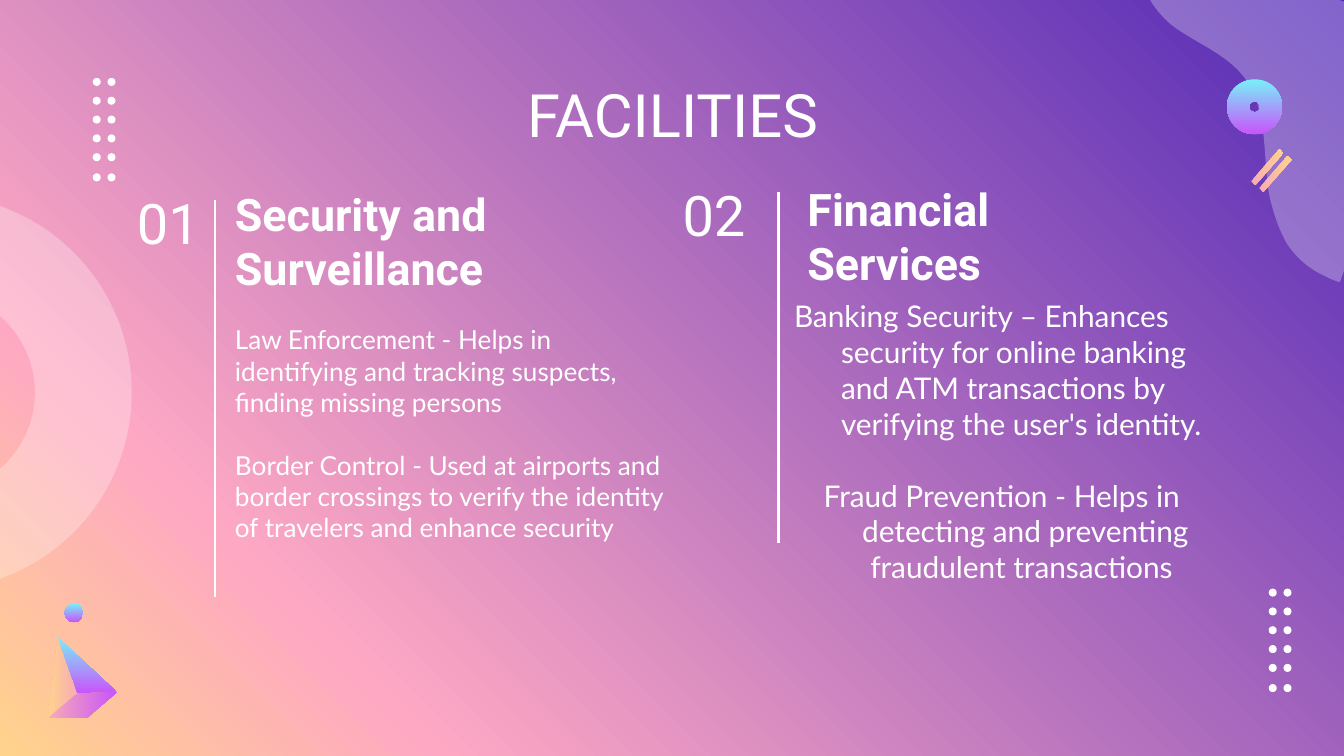
from dataclasses import dataclass
from typing import NamedTuple

from lxml.etree import SubElement
from pptx import Presentation
from pptx.dml.color import RGBColor
from pptx.dml.fill import FillFormat
from pptx.enum.shapes import MSO_CONNECTOR as Link, MSO_SHAPE as Preset
from pptx.enum.text import MSO_ANCHOR as Anchor, PP_ALIGN as Align
from pptx.oxml.ns import qn
from pptx.util import Emu, Pt

SCALE = 9144
FINENESS = 100
Point = tuple[int, int]


class Stop(NamedTuple):
    percent: int
    color: str


class Gradient(NamedTuple):
    stops: tuple[Stop, ...]
    angle: int


def blend(start: str, end: str, angle: int) -> Gradient:
    return Gradient((Stop(0, start), Stop(100, end)), angle)


@dataclass(frozen=True)
class Theme:
    white: str = "FFFFFF"
    veil: int = 28
    backdrop: Gradient = Gradient(
        (Stop(0, "5229B7"), Stop(79, "FEA8C3"), Stop(100, "FFD38B")), 135)
    neon: Gradient = blend("78F0F9", "C954FA", 90)
    peach: Gradient = blend("F7ABB7", "FFD38B", 0)
    apricot: Gradient = blend("F7ABB7", "FFD38B", 180)
    orchid: Gradient = blend("F7ABB7", "C954FA", 0)
    heading_font: str = "Roboto"
    body_font: str = "Lato"
    title_size: int = 32
    number_size: int = 30
    heading_size: int = 24
    rule_width: float = 1.5
    line_height: float = 1.2


class Box(NamedTuple):
    left: int
    top: int
    width: int
    height: int


class Paragraph(NamedTuple):
    text: str
    align: Align = Align.LEFT


class Facility(NamedTuple):
    number: str
    number_box: Box
    heading: str
    heading_box: Box
    body: tuple[Paragraph, ...]
    body_box: Box
    body_size: int
    margin: int
    indent: int


class Rule(NamedTuple):
    x: int
    top: int
    bottom: int


class Facet(NamedTuple):
    points: tuple[Point, ...]
    gradient: Gradient


THEME = Theme()

FACILITIES = (
    Facility("01", Box(92, 136, 89, 58),
             "Security and Surveillance", Box(165, 149, 284, 60),
             (Paragraph("Law Enforcement - Helps in identifying and tracking suspects, "
                        "finding missing persons"),
              Paragraph("Border Control - Used at airports and border crossings to verify "
                        "the identity of travelers and enhance security")),
             Box(165, 296, 343, 53), 14, 0, 0),
    Facility("02", Box(498, 130, 89, 58),
             "Financial Services", Box(591, 145, 286, 61),
             (Paragraph("Banking Security – Enhances security for online banking and ATM "
                        "transactions by verifying the user's identity."),
              Paragraph("Fraud Prevention - Helps in detecting and preventing fraudulent "
                        "transactions ", Align.CENTER)),
             Box(566, 302, 344, 53), 16, 50, -35),
)
RULES = (Rule(160, 149, 444), Rule(579, 143, 404))
DOT_GRIDS = ((944, 438), (69, 58))
PRISM = (
    Facet(((36, 534), (58, 516), (43, 474)), THEME.apricot),
    Facet(((43, 474), (58, 516), (87, 515)), THEME.neon),
    Facet(((87, 515), (58, 516), (36, 534), (65, 534)), THEME.orchid),
)
STRIPES = tuple(
    Facet(((x, y + 24), (x + 21, y), (x + 24, y + 3), (x + 3, y + 27)), THEME.peach)
    for x, y in ((931, 111), (937, 116)))
WAVE = ((846, -52),
        (841, -27), (851, 1), (871, 18), (890, 33), (915, 40), (929, 62),
        (943, 86), (940, 116), (944, 143), (947, 157), (951, 170), (958, 182),
        (965, 192), (974, 200), (985, 205), (989, 207), (993, 209), (997, 210))
WAVE_CORNER = (1063, 23)


def px(length: int) -> Emu:
    return Emu(length * SCALE)


def fill_solid(shape, color: str, alpha: int = 100) -> None:
    shape.shadow.inherit = False
    shape.line.fill.background()
    shape.fill.solid()
    shape.fill.fore_color.rgb = RGBColor.from_string(color)
    if alpha < 100:
        tint = shape.element.find(".//" + qn("a:srgbClr"))
        SubElement(tint, qn("a:alpha"), val=str(alpha * 1000))


def set_gradient(fill: FillFormat, element, gradient: Gradient) -> None:
    fill.gradient()
    fill.gradient_angle = (360 - gradient.angle) % 360
    stop_list = element.find(".//" + qn("a:gsLst"))
    stop_list.clear()
    for stop in gradient.stops:
        entry = SubElement(stop_list, qn("a:gs"), pos=str(stop.percent * 1000))
        SubElement(entry, qn("a:srgbClr"), val=stop.color)


def fill_gradient(shape, gradient: Gradient) -> None:
    shape.shadow.inherit = False
    shape.line.fill.background()
    set_gradient(shape.fill, shape.element, gradient)


def add_preset(shapes, preset: Preset, box: Box):
    return shapes.add_shape(preset, *map(px, box))


def add_outline(shapes, points):
    start, *others = [(x * FINENESS, y * FINENESS) for x, y in points]
    builder = shapes.build_freeform(*start, scale=SCALE / FINENESS)
    builder.add_line_segments(others, close=True)
    return builder.convert_to_shape()


def add_facets(shapes, facets: tuple[Facet, ...]) -> None:
    for facet in facets:
        fill_gradient(add_outline(shapes, facet.points), facet.gradient)


def trace_curve(knots: tuple[Point, ...], steps: int = 12) -> list[tuple[float, float]]:
    traced = [knots[0]]
    for first in range(0, len(knots) - 1, 3):
        corners = knots[first:first + 4]
        for step in range(1, steps + 1):
            t = step / steps
            weights = ((1 - t) ** 3, 3 * t * (1 - t) ** 2, 3 * t * t * (1 - t), t ** 3)
            traced.append(tuple(
                sum(weight * corner[axis] for weight, corner in zip(weights, corners))
                for axis in (0, 1)))
    return traced


def add_dots(page, left: int, top: int) -> None:
    group = page.shapes.add_group_shape()
    for column in range(2):
        for row in range(6):
            dot = Box(left + 11 * column, top + 71 * row // 5, 6, 6)
            fill_solid(add_preset(group.shapes, Preset.OVAL, dot), THEME.white)


def add_rule(page, rule: Rule) -> None:
    line = page.shapes.add_connector(
        Link.STRAIGHT, px(rule.x), px(rule.top), px(rule.x), px(rule.bottom))
    line.line.color.rgb = RGBColor.from_string(THEME.white)
    line.line.width = Pt(THEME.rule_width)
    SubElement(line.element.spPr, qn("a:effectLst"))


def add_text(page, box: Box, paragraphs: tuple[Paragraph, ...], *, size: int,
             font: str = THEME.heading_font, bold: bool = False,
             margin: int = 0, indent: int = 0) -> None:
    frame = page.shapes.add_textbox(*map(px, box)).text_frame
    frame.word_wrap = True
    frame.vertical_anchor = Anchor.MIDDLE
    frame.margin_left = frame.margin_right = frame.margin_top = frame.margin_bottom = px(10)
    for index, content in enumerate(paragraphs):
        para = frame.add_paragraph() if index else frame.paragraphs[0]
        para.alignment = content.align
        if index:
            para.space_before = Pt(size * THEME.line_height)
        if margin:
            properties = para._p.get_or_add_pPr()
            properties.set("marL", str(px(margin)))
            properties.set("indent", str(px(indent)))
        span = para.add_run()
        span.text = content.text
        span.font.name = font
        span.font.size = Pt(size)
        span.font.bold = bold
        span.font.color.rgb = RGBColor.from_string(THEME.white)


def add_facility(page, facility: Facility) -> None:
    add_text(page, facility.heading_box, (Paragraph(facility.heading),),
             size=THEME.heading_size, bold=True)
    add_text(page, facility.number_box, (Paragraph(facility.number),),
             size=THEME.number_size)
    add_text(page, facility.body_box, facility.body, size=facility.body_size,
             font=THEME.body_font, margin=facility.margin, indent=facility.indent)


def main() -> None:
    deck = Presentation()
    deck.slide_width = px(1000)
    deck.slide_height = Emu(deck.slide_width * 9 // 16)
    page = deck.slides.add_slide(deck.slide_layouts[6])
    set_gradient(page.background.fill, page.element, THEME.backdrop)

    ring = add_preset(page.shapes, Preset.DONUT, Box(-196, 145, 294, 294))
    ring.adjustments[0] = 72 / 294
    fill_solid(ring, THEME.white, THEME.veil)
    wave = add_outline(page.shapes, trace_curve(WAVE) + [WAVE_CORNER])
    fill_solid(wave, THEME.white, THEME.veil)

    for facility in FACILITIES:
        add_facility(page, facility)
    add_text(page, Box(79, 58, 843, 53), (Paragraph("FACILITIES", Align.CENTER),),
             size=THEME.title_size)
    for rule in RULES:
        add_rule(page, rule)
    for left, top in DOT_GRIDS:
        add_dots(page, left, top)

    add_facets(page.shapes.add_group_shape().shapes, PRISM)
    disc = add_preset(page.shapes, Preset.DONUT, Box(913, 59, 41, 41))
    disc.adjustments[0] = 0.4
    fill_gradient(disc, THEME.neon)
    fill_gradient(add_preset(page.shapes, Preset.OVAL, Box(48, 449, 14, 14)), THEME.neon)
    add_facets(page.shapes, STRIPES)
    deck.save("out.pptx")


if __name__ == "__main__":
    main()
